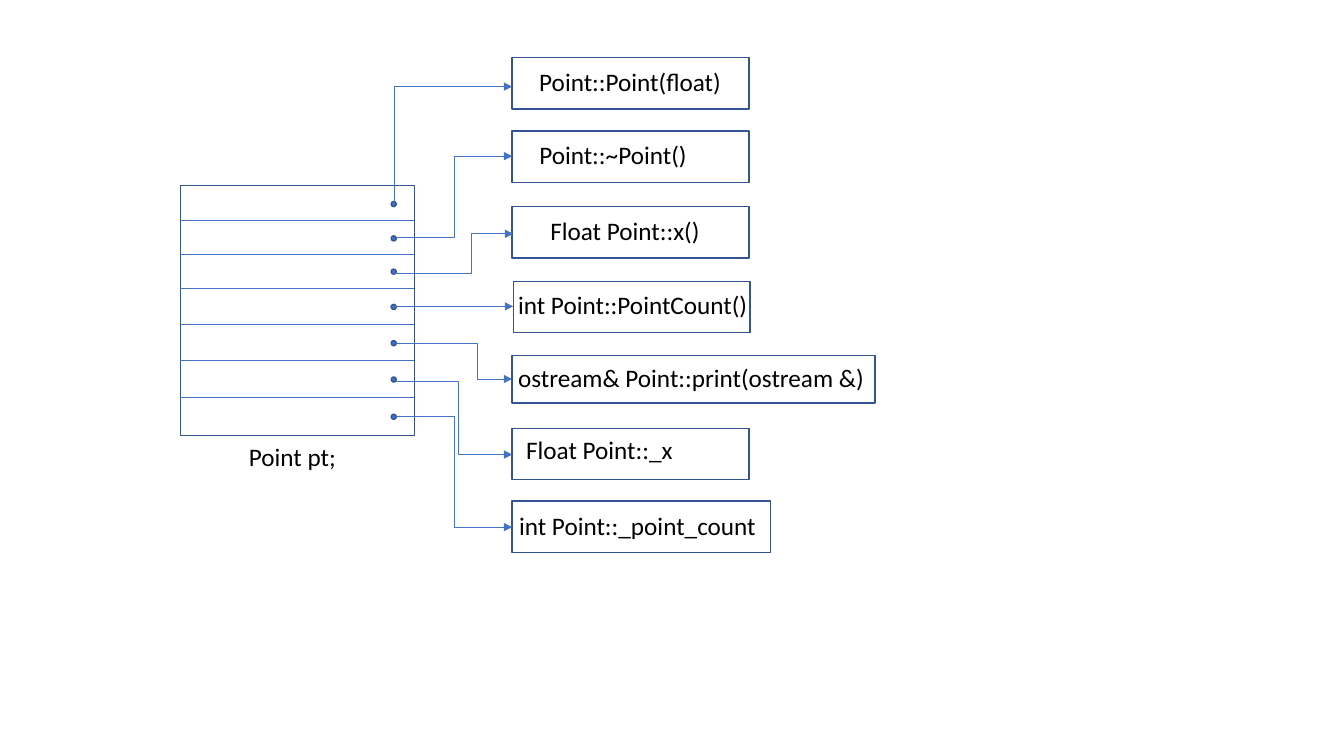
from dataclasses import dataclass

from lxml import etree
from pptx import Presentation
from pptx.dml.color import RGBColor
from pptx.enum.shapes import MSO_CONNECTOR, MSO_SHAPE
from pptx.enum.text import MSO_AUTO_SIZE
from pptx.oxml.ns import qn
from pptx.util import Inches, Pt

RECTANGLE = MSO_SHAPE.RECTANGLE
OVAL = MSO_SHAPE.OVAL
STRAIGHT = MSO_CONNECTOR.STRAIGHT
ELBOW = MSO_CONNECTOR.ELBOW
FIT_SHAPE = MSO_AUTO_SIZE.SHAPE_TO_FIT_TEXT

COLORS = {"outline": "325491", "accent": "4472C4", "text": "000000"}

OBJECT_LEFT, OBJECT_TOP, OBJECT_WIDTH, OBJECT_HEIGHT = 1.79, 1.84, 2.32, 2.48
DIVIDER_TOPS = [2.19, 2.52, 2.86, 3.22, 3.58, 3.94]
DOT_LEFT, DOT_SIZE = 3.88, 0.05


@dataclass
class Member:
    signature: str
    box: tuple
    label: tuple
    dot_top: float
    start: tuple
    end: tuple
    bend: float


MEMBERS = [
    Member("Point::Point(float)", (5.08, 0.57, 2.35, 0.51), (5.25, 0.61, 2.03),
           2.00, (3.91, 2.03), (5.08, 0.86), 0),
    Member("Point::~Point()", (5.08, 1.3, 2.35, 0.51), (5.25, 1.33, 1.68),
           2.34, (3.93, 2.36), (5.08, 1.55), 0.5),
    Member("Float Point::x()", (5.08, 2.05, 2.35, 0.51), (5.36, 2.09, 1.7),
           2.67, (3.9, 2.71), (5.09, 2.32), 0.65),
    Member("int Point::PointCount()", (5.09, 2.79, 2.35, 0.51), (5.04, 2.82, 2.51),
           3.02, (3.87, 3.04), (5.09, 3.04), 0),
    Member("ostream& Point::print(ostream &)", (5.08, 3.53, 3.6, 0.47), (5.04, 3.55, 3.67),
           3.38, (3.93, 3.41), (5.08, 3.76), 0.7),
    Member("Float Point::_x", (5.08, 4.25, 2.35, 0.51), (5.12, 4.26, 1.67),
           3.74, (3.93, 3.78), (5.08, 4.51), 0.54),
    Member("int Point::_point_count", (5.08, 4.97, 2.56, 0.51), (5.05, 5.01, 2.58),
           4.11, (3.93, 4.13), (5.08, 5.23), 0.5),
]


class Diagram:
    font = "Calibri"
    font_size = Pt(18)

    def __init__(self, slide):
        self.shapes = slide.shapes

    def color(self, name):
        return RGBColor.from_string(COLORS[name])

    def shape(self, preset, left, top, width, height, fill=None):
        shape = self.shapes.add_shape(
            preset, Inches(left), Inches(top), Inches(width), Inches(height))
        shape.shadow.inherit = False
        if fill:
            shape.fill.solid()
            shape.fill.fore_color.rgb = self.color(fill)
        else:
            shape.fill.background()
        shape.line.color.rgb = self.color("outline")
        shape.line.width = Pt(1)

    def line(self, start, end, kind=STRAIGHT, arrow=False):
        connector = self.shapes.add_connector(
            kind, *(Inches(value) for value in (*start, *end)))
        connector.line.color.rgb = self.color("accent")
        connector.line.width = Pt(0.5)
        properties = connector._element.spPr
        if arrow:
            outline = properties.find(qn("a:ln"))
            etree.SubElement(outline, qn("a:tailEnd"), type="triangle")
        etree.SubElement(properties, qn("a:effectLst"))
        return properties

    def bent_arrow(self, start, end, bend):
        geometry = self.line(start, end, ELBOW, arrow=True).find(qn("a:prstGeom"))
        adjustments = geometry.find(qn("a:avLst"))
        etree.SubElement(adjustments, qn("a:gd"), name="adj1",
                         fmla=f"val {round(bend * 100000)}")

    def corner_arrow(self, start, end):
        properties = self.line((end[0], start[1]), (start[0], end[1]), ELBOW, arrow=True)
        properties.find(qn("a:prstGeom")).set("prst", "bentConnector2")
        properties.find(qn("a:xfrm")).set("rot", "5400000")

    def label(self, text, left, top, width):
        box = self.shapes.add_textbox(
            Inches(left), Inches(top), Inches(width), Inches(0.4))
        frame = box.text_frame
        frame.word_wrap = False
        frame.auto_size = FIT_SHAPE
        frame.text = text
        font = frame.paragraphs[0].runs[0].font
        font.name = self.font
        font.size = self.font_size
        font.color.rgb = self.color("text")


def main():
    presentation = Presentation()
    presentation.slide_width = Inches(13.33)
    presentation.slide_height = Inches(7.5)
    diagram = Diagram(presentation.slides.add_slide(presentation.slide_layouts[6]))

    diagram.shape(RECTANGLE, OBJECT_LEFT, OBJECT_TOP, OBJECT_WIDTH, OBJECT_HEIGHT)
    for top in DIVIDER_TOPS:
        diagram.line((OBJECT_LEFT, top), (OBJECT_LEFT + OBJECT_WIDTH, top))

    for member in MEMBERS:
        diagram.shape(RECTANGLE, *member.box)
        diagram.shape(OVAL, DOT_LEFT, member.dot_top, DOT_SIZE, DOT_SIZE, "accent")
        if member.bend:
            diagram.bent_arrow(member.start, member.end, member.bend)
        elif member.start[1] == member.end[1]:
            diagram.line(member.start, member.end, arrow=True)
        else:
            diagram.corner_arrow(member.start, member.end)

    diagram.label("Point pt;", 2.37, 4.33, 1.08)
    for member in MEMBERS:
        diagram.label(member.signature, *member.label)

    presentation.save("out.pptx")


if __name__ == "__main__":
    main()
